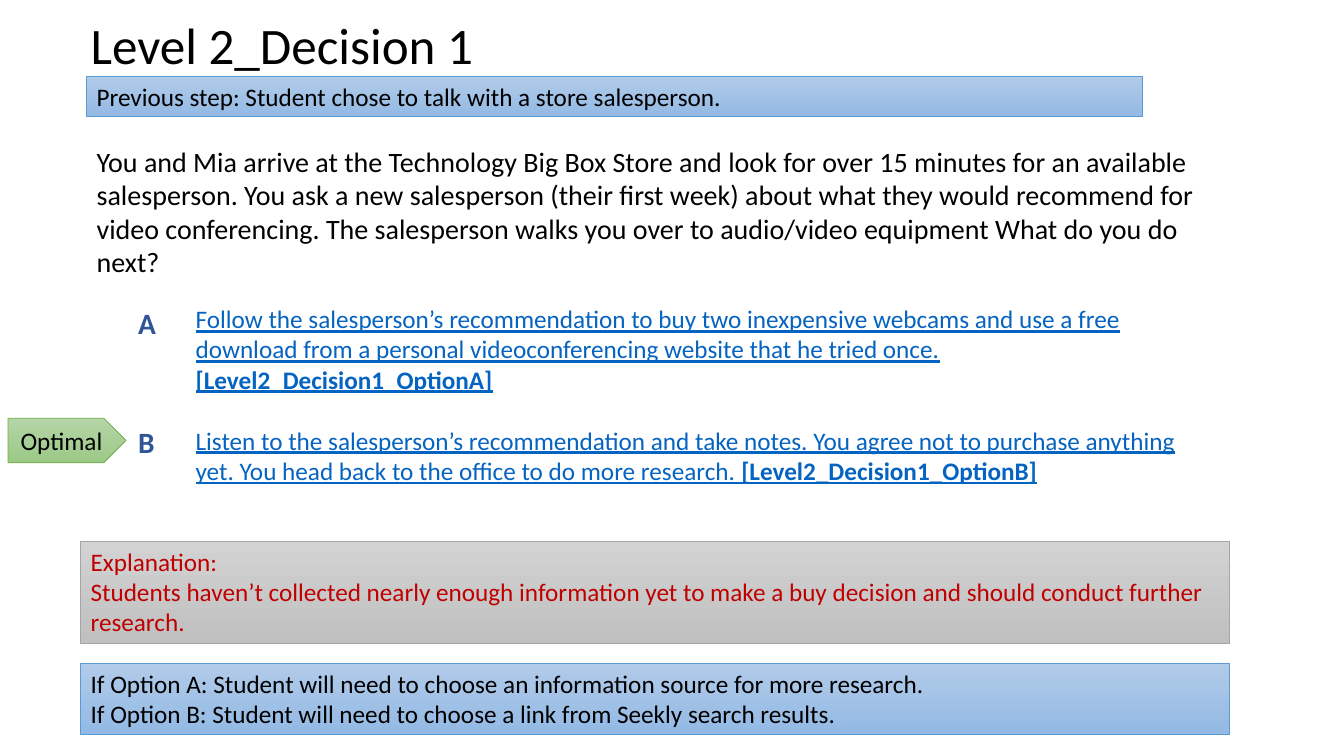
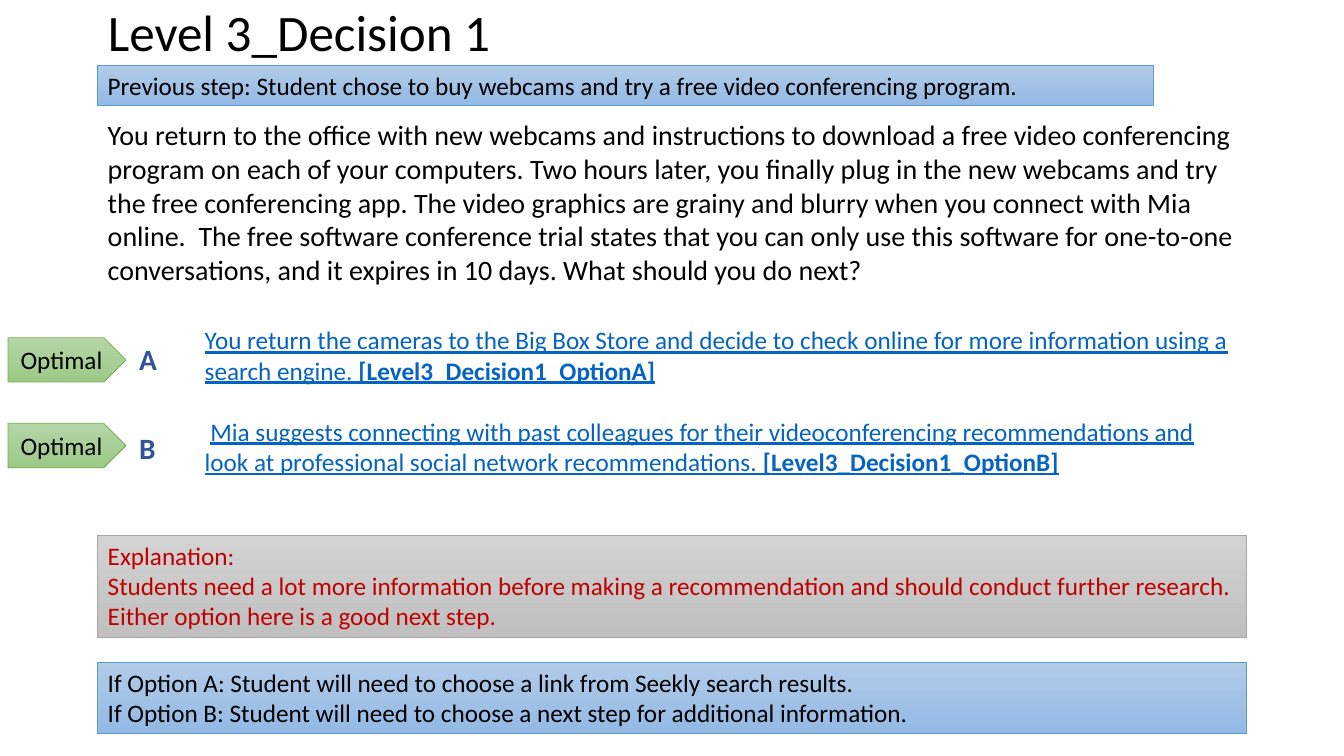
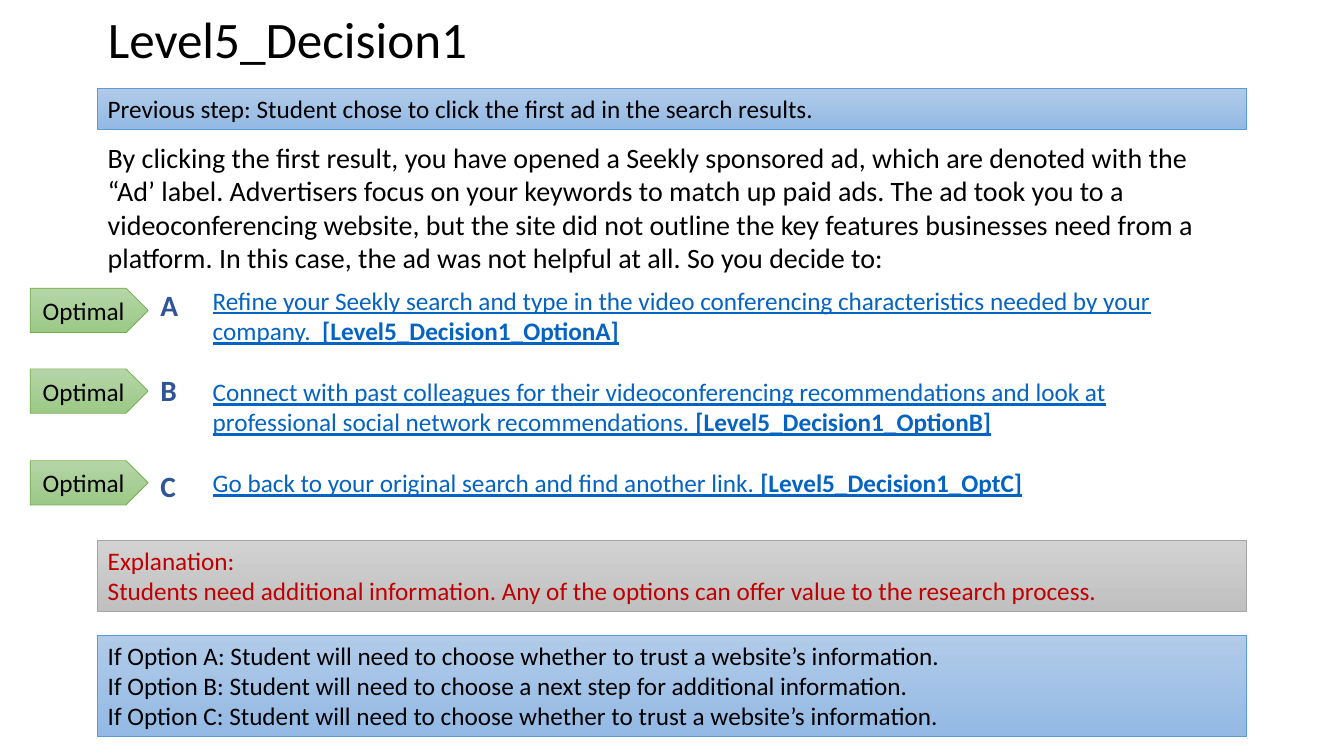
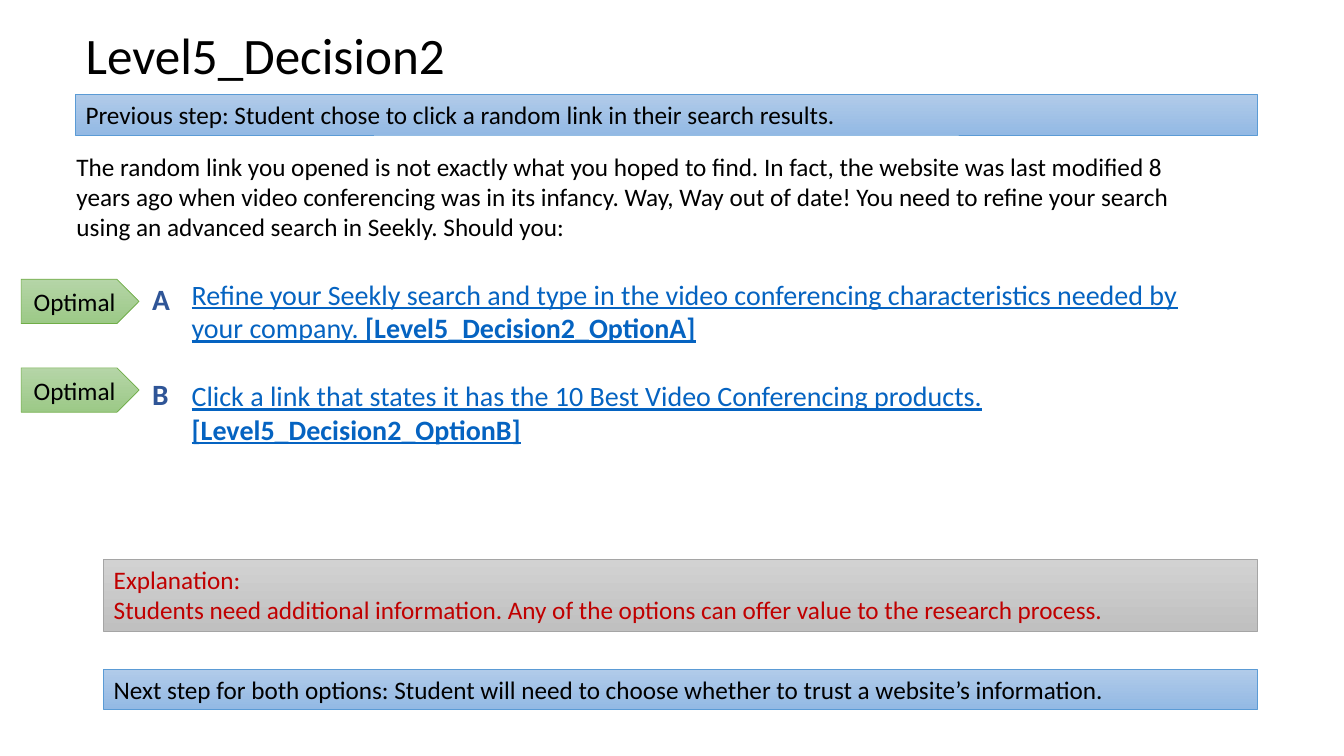
import dataclasses

import lxml.etree
import pptx
import pptx.dml.color
import pptx.enum.shapes
import pptx.enum.text
import pptx.oxml.ns
import pptx.util

Inches = pptx.util.Inches
MSO_SHAPE = pptx.enum.shapes.MSO_SHAPE
MSO_ANCHOR = pptx.enum.text.MSO_ANCHOR
PP_ALIGN = pptx.enum.text.PP_ALIGN


@dataclasses.dataclass(frozen=True)
class Theme:
    font: str = "Calibri"
    title_size: float = 36.5
    letter_size: float = 21
    text_size: float = 18
    line_height: float = 1.22
    text: str = "000000"
    link: str = "0563C1"
    letter: str = "2F5597"
    warning: str = "C00000"
    # Each panel style: gradient top, gradient bottom, outline
    blue: tuple = ("B1CBE9", "93B9E4", "5B9BD5")
    gray: tuple = ("D2D2D2", "C0C0C0", "A5A5A5")
    green: tuple = ("B5D5A7", "9CC987", "70AD47")


THEME = Theme()
TITLE_HEIGHT = 0.66
TAG_WIDTH, TAG_HEIGHT = 1.17, 0.44
LETTER_WIDTH = 0.65

# Boxes are left, top, width, height in inches.
# Each option holds its letter top, its tag top (None if not optimal) and its runs.
DECISIONS = [
    {
        "title": ("Level 2_Decision 1", 0.8, 0.15),
        "previous": ("Student chose to talk with a store salesperson.", (0.86, 0.76, 10.47, 0.4)),
        "story": (
            "You and Mia arrive at the Technology Big Box Store and look for over 15 minutes for an "
            "available salesperson. You ask a new salesperson (their first week) about what they would "
            "recommend for video conferencing. The salesperson walks you over to audio/video equipment "
            "What do you do next?",
            (0.86, 1.38, 11.32, 1.5), 20),
        "options_box": (1.84, 2.96, 10.34, 2.3),
        "options_size": 18,
        "tag_left": 0.08,
        "letter_left": 1.24,
        "options": [
            (2.96, None, (
                "Follow the salesperson’s recommendation to buy two inexpensive webcams and use a free "
                "download from a personal videoconferencing website that he tried once. ",
                "[Level2_Decision1_OptionA]")),
            (4.14, 4.15, (
                "Listen to the salesperson’s recommendation and take notes. You agree not to purchase "
                "anything yet. You head back to the office to do more research. ",
                "[Level2_Decision1_OptionB]")),
        ],
        "explanation": (
            "Students haven’t collected nearly enough information yet to make a buy decision and should "
            "conduct further research.", (0.8, 5.37, 11.39, 1.01)),
        "next": ([
            "If Option A: Student will need to choose an information source for more research.",
            "If Option B: Student will need to choose a link from Seekly search results.",
        ], (0.8, 6.58, 11.39, 0.71)),
    },
    {
        "title": ("Level 3_Decision 1", 0.97, 0.02),
        "previous": ("Student chose to buy webcams and try a free video conferencing program.",
                     (0.97, 0.65, 10.47, 0.4)),
        "story": (
            "You return to the office with new webcams and instructions to download a free video "
            "conferencing program on each of your computers. Two hours later, you finally plug in the new "
            "webcams and try the free conferencing app. The video graphics are grainy and blurry when you "
            "connect with Mia online.  The free software conference trial states that you can only use "
            "this software for one-to-one conversations, and it expires in 10 days. What should you do "
            "next?",
            (0.97, 1.12, 11.39, 1.8), 20),
        "options_box": (1.93, 3.17, 10.43, 2),
        "options_size": 18,
        "tag_left": 0.08,
        "letter_left": 1.25,
        "options": [
            (3.31, 3.35, (
                "You return the cameras to the Big Box Store and decide to check online for more "
                "information using a search engine. ",
                "[Level3_Decision1_OptionA]")),
            (4.2, 4.2, (
                " ",
                "Mia suggests connecting with past colleagues for their videoconferencing recommendations "
                "and look at professional social network recommendations. ",
                "[Level3_Decision1_OptionB]")),
        ],
        "explanation": (
            "Students need a lot more information before making a recommendation and should conduct "
            "further research. Either option here is a good next step.", (0.97, 5.31, 11.39, 1.01)),
        "next": ([
            "If Option A: Student will need to choose a link from Seekly search results.",
            "If Option B: Student will need to choose a next step for additional information.",
        ], (0.97, 6.57, 11.39, 0.71)),
    },
    {
        "title": ("Level5_Decision1", 0.97, 0.09),
        "previous": ("Student chose to click the first ad in the search results.",
                     (0.97, 0.88, 11.39, 0.4)),
        "story": (
            "By clicking the first result, you have opened a Seekly sponsored ad, which are denoted with "
            "the “Ad’ label. Advertisers focus on your keywords to match up paid ads. The ad took you to "
            "a videoconferencing website, but the site did not outline the key features businesses need "
            "from a platform. In this case, the ad was not helpful at all. So you decide to:",
            (0.97, 1.34, 11.39, 1.44), 20),
        "options_box": (2.01, 2.78, 10.35, 2.52),
        "options_size": 18,
        "tag_left": 0.3,
        "letter_left": 1.46,
        "options": [
            (2.78, 2.86, (
                "Refine your Seekly search and type in the video conferencing characteristics needed by "
                "your company.  ",
                "[Level5_Decision1_OptionA]")),
            (3.62, 3.66, (
                "Connect with past colleagues for their videoconferencing recommendations and look at "
                "professional social network recommendations. ",
                "[Level5_Decision1_OptionB]")),
            (4.57, 4.57, (
                "Go back to your original search and find another link. ",
                "[Level5_Decision1_OptC]")),
        ],
        "explanation": (
            "Students need additional information. Any of the options can offer value to the research "
            "process.", (0.97, 5.36, 11.39, 0.71)),
        "next": ([
            "If Option A: Student will need to choose whether to trust a website’s information.",
            "If Option B: Student will need to choose a next step for additional information.",
            "If Option C: Student will need to choose whether to trust a website’s information.",
        ], (0.97, 6.3, 11.39, 1.01)),
    },
    {
        "title": ("Level5_Decision2", 0.75, 0.24),
        "previous": ("Student chose to click a random link in their search results.",
                     (0.75, 0.94, 11.72, 0.4)),
        "story": (
            "The random link you opened is not exactly what you hoped to find. In fact, the website was "
            "last modified 8 years ago when video conferencing was in its infancy. Way, Way out of date! "
            "You need to refine your search using an advanced search in Seekly. Should you:",
            (0.66, 1.45, 11.39, 1.1), 18),
        "options_box": (1.8, 2.7, 10.25, 2.46),
        "options_size": 20,
        "tag_left": 0.21,
        "letter_left": 1.38,
        "options": [
            (2.72, 2.77, (
                "Refine your Seekly search and type in the video conferencing characteristics needed by "
                "your company. ",
                "[Level5_Decision2_OptionA]")),
            (3.66, 3.65, (
                "Click a link that states it has the 10 Best Video Conferencing products. ",
                "[Level5_Decision2_OptionB]")),
        ],
        "explanation": (
            "Students need additional information. Any of the options can offer value to the research "
            "process.", (1.03, 5.55, 11.44, 0.71)),
        "next": ([
            "Next step for both options: Student will need to choose whether to trust a website’s "
            "information.",
        ], (1.03, 6.64, 11.44, 0.4)),
    },
]


def write(shape, lines, size, color, bold=False, align=PP_ALIGN.LEFT, anchor=MSO_ANCHOR.TOP):
    """Fill a shape with one paragraph per line; a line is a string or a tuple of link runs."""
    frame = shape.text_frame
    frame.word_wrap = True
    frame.auto_size = pptx.enum.text.MSO_AUTO_SIZE.NONE
    frame.vertical_anchor = anchor
    for index, line in enumerate(lines):
        para = frame.paragraphs[0] if index == 0 else frame.add_paragraph()
        para.alignment = align
        is_link = isinstance(line, tuple)
        for text in line if is_link else (line,):
            span = para.add_run()
            span.text = text
            span.font.name = THEME.font
            span.font.size = pptx.util.Pt(size)
            span.font.color.rgb = pptx.dml.color.RGBColor.from_string(color)
            span.font.bold = bold or (is_link and text.startswith("["))
            if is_link and text.strip():
                span.font.underline = True
    return frame


def add_panel(page, kind, box, style):
    panel = page.shapes.add_shape(kind, *map(Inches, box))
    panel.shadow.inherit = False
    top, bottom, outline = style
    panel.fill.gradient()
    panel.fill.gradient_angle = 270
    for stop, color in zip(panel.fill.gradient_stops, (top, bottom)):
        stop.color.rgb = pptx.dml.color.RGBColor.from_string(color)
    panel.line.color.rgb = pptx.dml.color.RGBColor.from_string(outline)
    panel.line.width = pptx.util.Pt(0.5)
    return panel


deck = pptx.Presentation()
deck.slide_width, deck.slide_height = Inches(13.33), Inches(7.5)

for decision in DECISIONS:
    page = deck.slides.add_slide(deck.slide_layouts[1])

    title = page.shapes.title
    text, left, top = decision["title"]
    title.left, title.top = Inches(left), Inches(top)
    title.width, title.height = Inches(11.39), Inches(TITLE_HEIGHT)
    frame = write(title, [text], THEME.title_size, THEME.text, anchor=MSO_ANCHOR.MIDDLE)
    frame.paragraphs[0].line_spacing = 0.9

    options = page.placeholders[1]
    options.left, options.top, options.width, options.height = map(Inches, decision["options_box"])
    size = decision["options_size"]
    frame = write(options, [runs for _, _, runs in decision["options"]], size, THEME.link)
    for index, para in enumerate(frame.paragraphs):
        para.space_before = pptx.util.Pt(size * THEME.line_height if index else 0)
        properties = para._p.get_or_add_pPr()
        properties.set("marL", "0")
        properties.set("indent", "0")
        lxml.etree.SubElement(properties, pptx.oxml.ns.qn("a:buNone"))

    for letter, (letter_top, tag_top, _) in zip("ABC", decision["options"]):
        label = page.shapes.add_textbox(Inches(decision["letter_left"]), Inches(letter_top),
                                        Inches(LETTER_WIDTH), Inches(TAG_HEIGHT))
        frame = write(label, [letter], THEME.letter_size, THEME.letter, bold=True)
        frame.margin_left = frame.margin_right = Inches(0.13)
        frame.margin_top = frame.margin_bottom = Inches(0.07)
        if tag_top is not None:
            tag = add_panel(page, MSO_SHAPE.PENTAGON,
                            (decision["tag_left"], tag_top, TAG_WIDTH, TAG_HEIGHT), THEME.green)
            write(tag, ["Optimal"], THEME.text_size, THEME.text,
                  align=PP_ALIGN.CENTER, anchor=MSO_ANCHOR.MIDDLE)

    text, box, size = decision["story"]
    write(page.shapes.add_textbox(*map(Inches, box)), [text], size, THEME.text)

    previous, previous_box = decision["previous"]
    explanation, explanation_box = decision["explanation"]
    next_steps, next_box = decision["next"]
    for lines, box, style, color in (
        (["Previous step: " + previous], previous_box, THEME.blue, THEME.text),
        (["Explanation:", explanation], explanation_box, THEME.gray, THEME.warning),
        (next_steps, next_box, THEME.blue, THEME.text),
    ):
        write(add_panel(page, MSO_SHAPE.RECTANGLE, box, style), lines, THEME.text_size, color)

deck.save("out.pptx")
